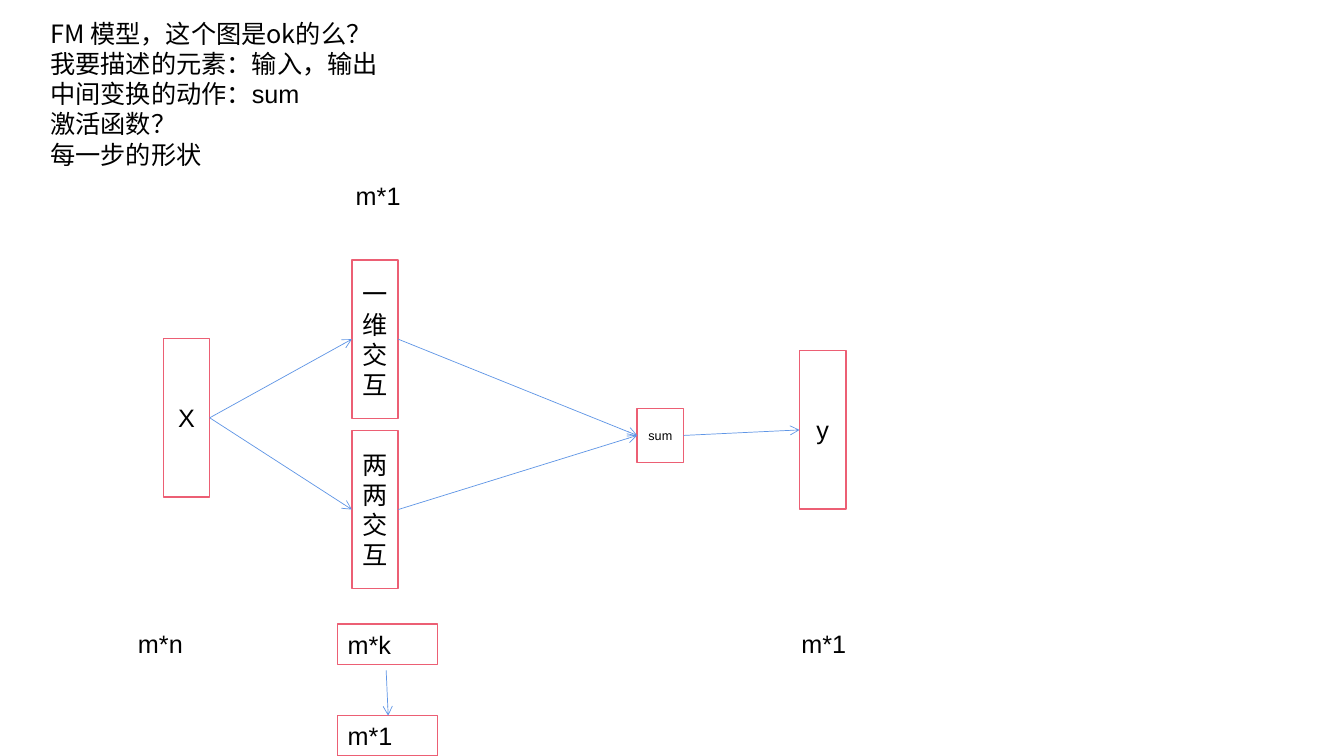
from lxml import etree
from pptx import Presentation
from pptx.dml.color import RGBColor
from pptx.enum.shapes import MSO_CONNECTOR, MSO_SHAPE
from pptx.enum.text import MSO_ANCHOR, PP_ALIGN
from pptx.oxml.ns import qn
from pptx.util import Inches, Pt

RECTANGLE = MSO_SHAPE.RECTANGLE
STRAIGHT = MSO_CONNECTOR.STRAIGHT
MIDDLE, TOP = MSO_ANCHOR.MIDDLE, MSO_ANCHOR.TOP
CENTER, LEFT = PP_ALIGN.CENTER, PP_ALIGN.LEFT
LEFT_SITE, RIGHT_SITE = 1, 3

COLORS = {"box": "FFFFFF", "outline": "EC5F74", "arrow": "6096E6", "text": "000000"}
LATIN_FONT, CHINESE_FONT = "Arial", "Noto Sans CJK SC"

NODE_WIDTH, NODE_HEIGHT = 0.46, 1.57
LABEL_WIDTH, LABEL_HEIGHT = 0.99, 0.4

NOTES = [
    ("FM 模型，这个图是ok的么？", CHINESE_FONT),
    ("我要描述的元素：输入，输出", LATIN_FONT),
    ("中间变换的动作：sum", LATIN_FONT),
    ("激活函数？", LATIN_FONT),
    ("每一步的形状", LATIN_FONT),
]

# name: (text, left, top, height, font size)
NODES = {
    "pairwise": ("两两交互", 3.49, 4.27, NODE_HEIGHT, 18),
    "first_order": ("一维交互", 3.49, 2.58, NODE_HEIGHT, 18),
    "input": ("X", 1.62, 3.36, NODE_HEIGHT, 18),
    "sum": ("sum", 6.32, 4.05, 0.54, 9),
    "output": ("y", 7.93, 3.48, NODE_HEIGHT, 18),
}
LINKS = [
    ("first_order", "sum"),
    ("pairwise", "sum"),
    ("input", "first_order"),
    ("input", "pairwise"),
    ("sum", "output"),
]

# (text, left, top)
LABELS = [("m*n", 1.27, 6.18), ("m*1", 7.85, 6.18), ("m*1", 3.43, 1.74)]
BOXED_LABELS = [("m*k", 3.35, 6.19), ("m*1", 3.35, 7.1)]


def add_run(paragraph, text, size=18, font_name=LATIN_FONT):
    run = paragraph.add_run()
    run.text = text
    run.font.size = Pt(size)
    run.font.name = font_name
    run.font.color.rgb = RGBColor.from_string(COLORS["text"])
    east_asian = etree.SubElement(run.font._element, qn("a:ea"))
    east_asian.set("typeface", CHINESE_FONT)


def add_text(slide, lines, left, top, width, height):
    text_frame = slide.shapes.add_textbox(
        Inches(left), Inches(top), Inches(width), Inches(height)).text_frame
    text_frame.word_wrap = True
    for index, (text, font_name) in enumerate(lines):
        paragraph = text_frame.add_paragraph() if index else text_frame.paragraphs[0]
        add_run(paragraph, text, font_name=font_name)


def add_box(slide, text, left, top, width, height, size=18, anchor=MIDDLE, alignment=CENTER):
    shape = slide.shapes.add_shape(
        RECTANGLE, Inches(left), Inches(top), Inches(width), Inches(height))
    shape.shadow.inherit = False
    shape.fill.solid()
    shape.fill.fore_color.rgb = RGBColor.from_string(COLORS["box"])
    shape.line.color.rgb = RGBColor.from_string(COLORS["outline"])
    shape.line.width = Pt(1)
    text_frame = shape.text_frame
    text_frame.word_wrap = True
    text_frame.vertical_anchor = anchor
    paragraph = text_frame.paragraphs[0]
    paragraph.alignment = alignment
    add_run(paragraph, text, size)
    return shape


def add_arrow(slide, start=(0, 0), end=(0, 0)):
    arrow = slide.shapes.add_connector(
        STRAIGHT, *(Inches(value) for value in (*start, *end)))
    arrow.line.color.rgb = RGBColor.from_string(COLORS["arrow"])
    arrow.line.width = Pt(0.5)
    properties = arrow._element.spPr
    etree.SubElement(properties.find(qn("a:ln")), qn("a:tailEnd")).set("type", "arrow")
    etree.SubElement(properties, qn("a:effectLst"))
    return arrow


def link_nodes(slide, source, target):
    arrow = add_arrow(slide)
    arrow.begin_connect(source, RIGHT_SITE)
    arrow.end_connect(target, LEFT_SITE)


def main():
    presentation = Presentation()
    presentation.slide_width = Inches(13.33)
    presentation.slide_height = Inches(7.5)
    slide = presentation.slides.add_slide(presentation.slide_layouts[6])

    # Model diagram
    nodes = {
        name: add_box(slide, text, left, top, NODE_WIDTH, height, size)
        for name, (text, left, top, height, size) in NODES.items()
    }
    for source, target in LINKS:
        link_nodes(slide, nodes[source], nodes[target])

    # Questions about the diagram
    add_text(slide, NOTES, 0.4, 0.13, 12.69, 1.61)

    # Matrix shapes of each step
    for text, left, top in LABELS:
        add_text(slide, [(text, LATIN_FONT)], left, top, LABEL_WIDTH, LABEL_HEIGHT)
    for text, left, top in BOXED_LABELS:
        add_box(slide, text, left, top, LABEL_WIDTH, LABEL_HEIGHT, anchor=TOP, alignment=LEFT)
    add_arrow(slide, (3.83, 6.65), (3.85, 7.1))

    presentation.save("out.pptx")


if __name__ == "__main__":
    main()
